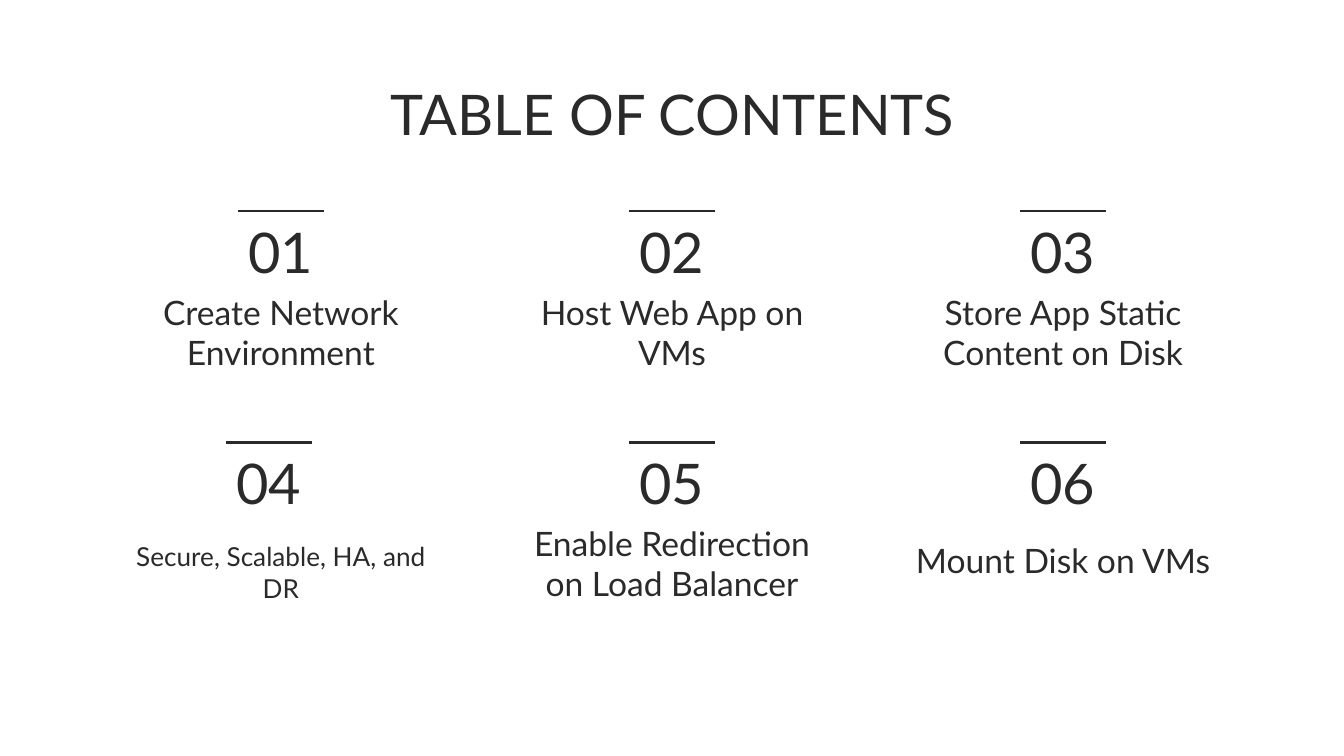
from pptx import Presentation
from pptx.dml.color import RGBColor
from pptx.enum.shapes import MSO_CONNECTOR
from pptx.enum.text import MSO_ANCHOR, PP_ALIGN
from pptx.oxml.ns import qn
from pptx.util import Inches, Pt
from lxml import etree

STRAIGHT = MSO_CONNECTOR.STRAIGHT
CENTER = PP_ALIGN.CENTER
TOP, BOTTOM = MSO_ANCHOR.TOP, MSO_ANCHOR.BOTTOM

COLORS = {"ink": "2A2A2A", "paper": "FFFFFF"}
FONT = "Lato"


class ContentsPage:
    """Holds the style and the current slide."""

    def __init__(self, deck):
        self.page = deck.slides.add_slide(deck.slide_layouts[6])
        self.ink = RGBColor.from_string(COLORS["ink"])
        fill = self.page.background.fill
        fill.solid()
        fill.fore_color.rgb = RGBColor.from_string(COLORS["paper"])

    def text(self, words, left, top, width, height, size, anchor=BOTTOM):
        box = self.page.shapes.add_textbox(
            Inches(left), Inches(top), Inches(width), Inches(height))
        frame = box.text_frame
        frame.word_wrap = True
        frame.vertical_anchor = anchor
        frame.margin_left = frame.margin_right = Inches(0.1)
        frame.margin_top = frame.margin_bottom = Inches(0.1)
        frame.text = words
        para = frame.paragraphs[0]
        para.alignment = CENTER
        for span in para.runs:
            span.font.name = FONT
            span.font.size = Pt(size)
            span.font.color.rgb = self.ink

    def rule(self, center, top, width=0.64):
        line = self.page.shapes.add_connector(
            STRAIGHT, Inches(center - width / 2), Inches(top),
            Inches(center + width / 2), Inches(top))
        line.line.color.rgb = self.ink
        line.line.width = Pt(1.5)
        etree.SubElement(line._element.spPr, qn("a:effectLst"))


# Each entry: label, text size, shift of the number, shift of the label
ENTRIES = [
    ("Create Network Environment", 18, 0, 0),
    ("Host Web App on VMs", 18, 0, 0),
    ("Store App Static Content on Disk", 18, 0, 0),
    ("Secure, Scalable, HA, and DR", 14, -0.09, 0),
    ("Enable Redirection on Load Balancer", 18, 0, 0),
    ("Mount Disk on VMs", 18, 0, -0.17),
]
COLUMNS = 3
FIRST_CENTER, COLUMN_STEP = 2.09, 2.91
FIRST_RULE, ROW_STEP = 1.57, 1.72
NUMBER_WIDTH, LABEL_WIDTH = 0.8, 2.52


def main():
    # Widescreen page, 16:9
    deck = Presentation()
    deck.slide_width = Inches(10)
    deck.slide_height = deck.slide_width * 9 // 16
    contents = ContentsPage(deck)

    # Heading
    contents.text("TABLE OF CONTENTS", 0.79, 0.49, 8.43, 0.63, 30, TOP)

    # Grid of numbered sections
    for index, (label, size, number_shift, label_shift) in enumerate(ENTRIES):
        row, column = divmod(index, COLUMNS)
        center = FIRST_CENTER + column * COLUMN_STEP
        top = FIRST_RULE + row * ROW_STEP
        number_center = center + number_shift
        contents.rule(number_center, top)
        contents.text(f"{index + 1:02d}", number_center - NUMBER_WIDTH / 2,
                      top + 0.16, NUMBER_WIDTH, 0.49, 30)
        contents.text(label, center - LABEL_WIDTH / 2,
                      top + 0.5 + label_shift, LABEL_WIDTH, 0.8, size)

    deck.save("out.pptx")


if __name__ == "__main__":
    main()
